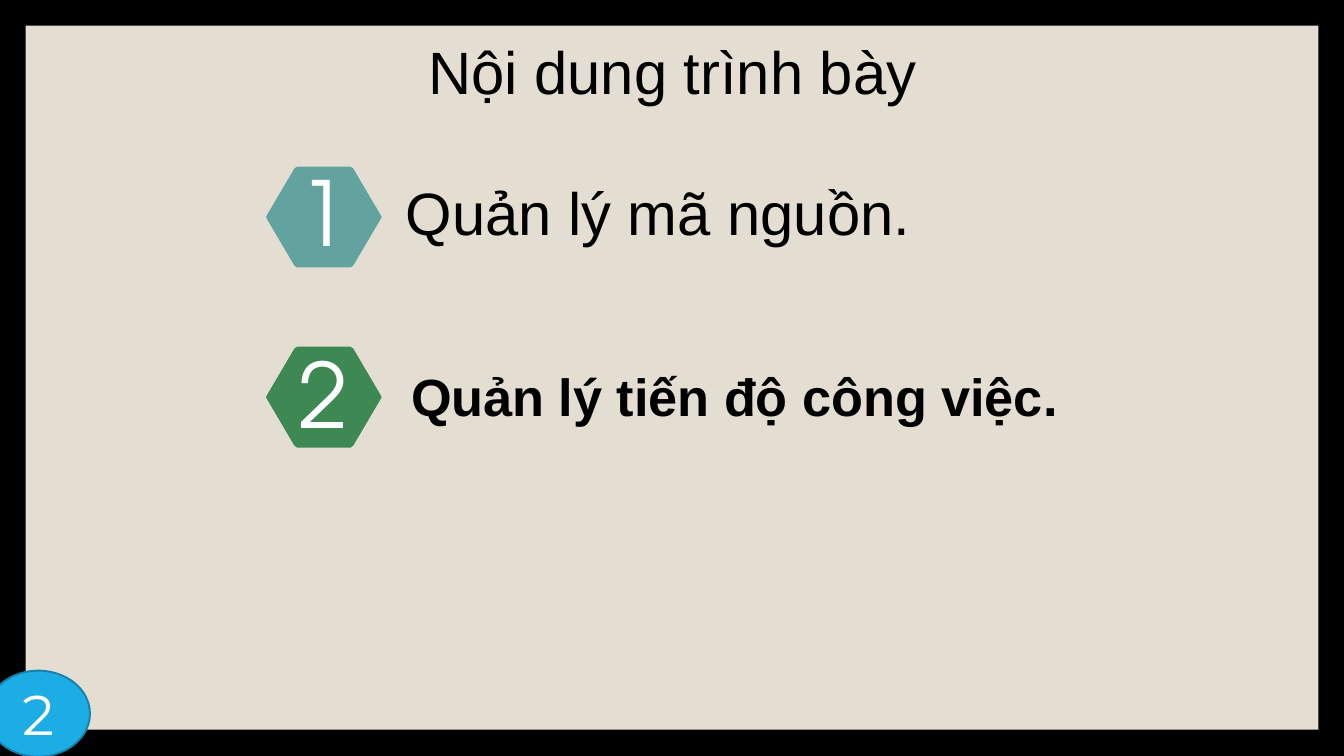
from pptx import Presentation
from pptx.dml.color import RGBColor
from pptx.enum.shapes import MSO_SHAPE as SHAPE
from pptx.enum.text import MSO_ANCHOR as ANCHOR, MSO_AUTO_SIZE as AUTO, PP_ALIGN as ALIGN
from pptx.util import Inches, Pt

# Content
TITLE = "Nội dung trình bày"
PAGE = "2"
# number, text, colour, hexagon top, number top, text box (left, top, width, height), size, bold
ITEMS = [
    ("1", "Quản lý mã nguồn.", "62A39F", 1.24, 1.16, (2.92, 1.29, 4.74, 0.64), 32, False),
    ("2", "Quản lý tiến độ công việc.", "3E8853", 2.58, 2.51, (2.96, 2.39, 5.08, 1.16), 28, True),
]

# Layout, in inches; the slide is 16:9
W = 10
H = W * 9 / 16
HEX_LEFT, HEX_W, HEX_H = 1.98, 0.86, 0.75
NUM_LEFT, NUM_W, NUM_H = 1.74, 1.33, 0.92
# Softened corners of one hexagon quarter, measured from its centre
CORNER = [(0.2, 0.375), (0.22, 0.36), (0.42, 0.02), (0.43, 0)]


def rgb(value):
    return RGBColor.from_string(value)


def paint(s, fill, line=None):
    s.shadow.inherit = False
    s.fill.solid()
    s.fill.fore_color.rgb = rgb(fill)
    if line:
        s.line.color.rgb = rgb(line)
        s.line.width = Pt(1)
    else:
        s.line.fill.background()


def write(s, text, size, font, color, align=ALIGN.CENTER, bold=False, spacing=0.9):
    tf = s.text_frame
    tf.word_wrap = True
    tf.auto_size = AUTO.NONE
    tf.vertical_anchor = ANCHOR.MIDDLE
    tf.margin_left = tf.margin_right = tf.margin_top = tf.margin_bottom = Inches(0.1)
    p = tf.paragraphs[0]
    p.alignment = align
    p.line_spacing = spacing
    r = p.add_run()
    r.text = text
    r.font.size, r.font.name, r.font.bold = Pt(size), font, bold
    r.font.color.rgb = rgb(color)


def box(at):
    return [Inches(v) for v in at]


def hexagon(shapes, cx, cy, color):
    right = CORNER + [(x, -y) for x, y in CORNER[-2::-1]]
    outline = right + [(-x, -y) for x, y in right]
    points = [(Inches(cx + x), Inches(cy + y)) for x, y in outline]
    builder = shapes.build_freeform(*points[0], scale=1.0)
    builder.add_line_segments(points[1:], close=True)
    paint(builder.convert_to_shape(), color)


prs = Presentation()
prs.slide_width, prs.slide_height = Inches(W), Inches(H)
slide = prs.slides.add_slide(prs.slide_layouts[5])
shapes = slide.shapes

# Black frame around a beige panel
slide.background.fill.solid()
slide.background.fill.fore_color.rgb = rgb("000000")
panel = shapes.add_shape(SHAPE.RECTANGLE, *box((0.19, 0.19, 9.62, 5.24)))
paint(panel, "E3DED1")

# Title, brought in front of the panel
title = shapes.title
title.left, title.top, title.width, title.height = box((0.85, 0.24, 8.31, 0.64))
write(title, TITLE, 32, "Arial", "000000")
panel._element.addnext(title._element)

# Numbered items
for number, text, color, hex_top, num_top, at, size, bold in ITEMS:
    hexagon(shapes, HEX_LEFT + HEX_W / 2, hex_top + HEX_H / 2, color)
    num = shapes.add_textbox(*box((NUM_LEFT, num_top, NUM_W, NUM_H)))
    write(num, number, 48, "TeX Gyre Adventor", "FFFFFF")
    write(shapes.add_textbox(*box(at)), text, size, "Arial", "000000", ALIGN.LEFT, bold)

# Page number badge
badge = shapes.add_shape(SHAPE.OVAL, *box((-0.1, 4.99, 0.77, 0.64)))
paint(badge, "1CADE4", "1580A9")
write(badge, PAGE, 30, "Montserrat", "FFFFFF", spacing=1.0)

prs.save("out.pptx")
